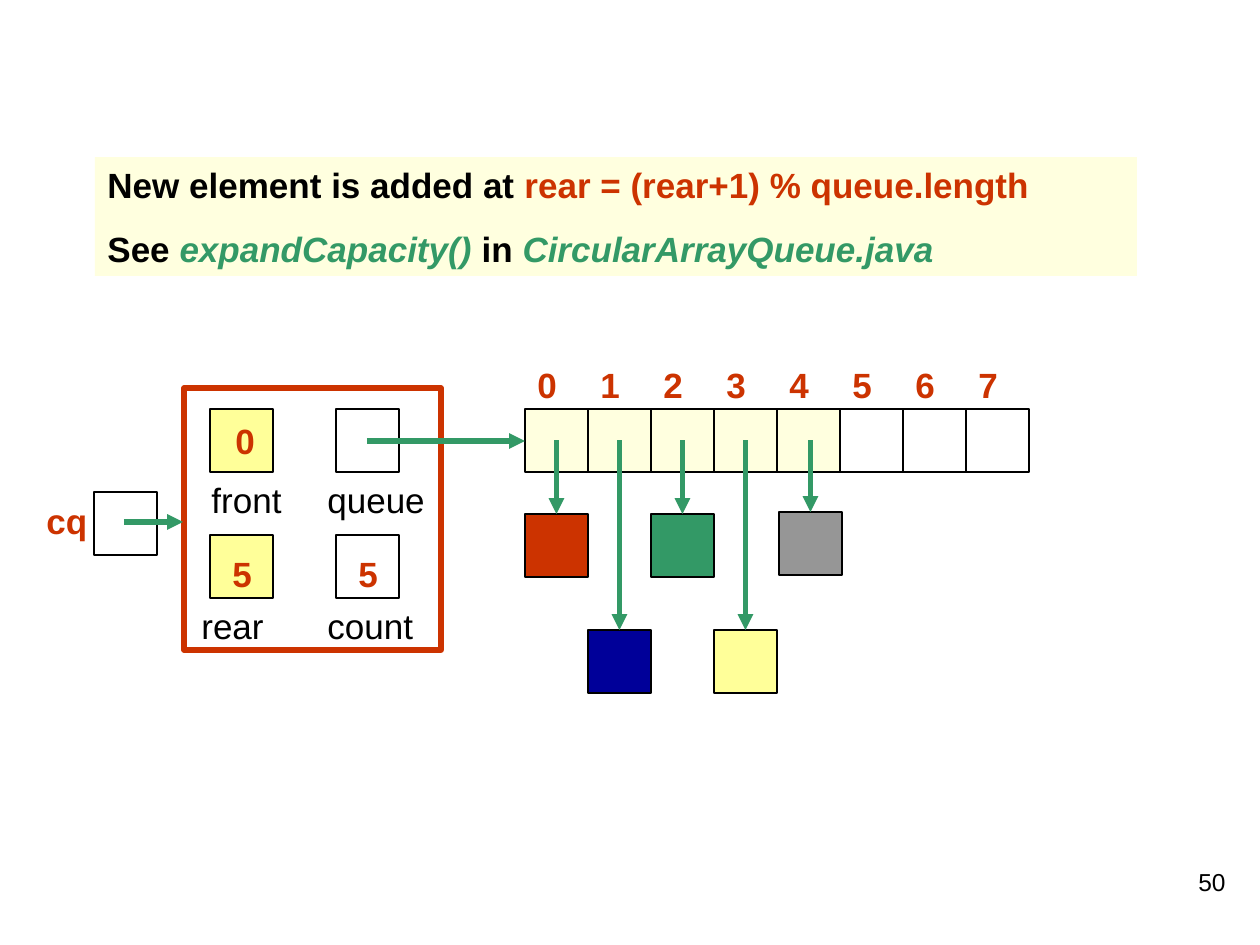
from lxml import etree
from pptx import Presentation, util as u
from pptx.dml.color import RGBColor
from pptx.enum import shapes, text
from pptx.oxml.ns import qn

PX = 914400 / 126  # EMU per px
BLACK = RGBColor(0x00, 0x00, 0x00)
RED = RGBColor(0xCC, 0x33, 0x00)
GREEN = RGBColor(0x33, 0x99, 0x66)
YELLOW = RGBColor(0xFF, 0xFF, 0x99)
CREAM = RGBColor(0xFF, 0xFF, 0xDF)
BLUE = RGBColor(0x00, 0x00, 0x99)
GREY = RGBColor(0x96, 0x96, 0x96)

CELL = 63
LABEL_H = 55
ARRAY_X, ARRAY_Y = 525, 409
ARRAY_SIZE, USED = 8, 5

NOTE = [
    [("New element is added at ", BLACK, False),
     ("rear = (rear+1) % queue.length", RED, False)],
    [("See ", BLACK, False), ("expandCapacity()", GREEN, True),
     (" in ", BLACK, False), ("CircularArrayQueue.java", GREEN, True)],
]
FRAME = (184, 388, 257, 262)
# cell left, top, fill
FIELDS = [(210, 409, YELLOW), (336, 409, None),
          (210, 535, YELLOW), (336, 535, None), (94, 492, None)]
# wording, left, top, width
FIELD_NAMES = [("front", 199, 472, 105), ("queue", 315, 472, 126),
               ("rear", 189, 598, 116), ("count", 315, 598, 126)]
FIELD_VALUES = [("0", 223, 413, 73), ("5", 220, 546, 49),
                ("5", 346, 546, 49), ("cq", 34, 493, 118)]
# left, top, fill of the element each used slot refers to
ELEMENTS = [(525, 514, RED), (588, 630, BLUE), (651, 514, GREEN),
            (714, 630, YELLOW), (779, 512, GREY)]
REFERENCES = [((367, 441), (525, 441)), ((124, 522), (183, 522))]


def px(*lengths):
    return [u.Emu(round(length * PX)) for length in lengths]


def add_box(slide, left, top, width, height, fill, line=BLACK, weight=0.75):
    box = slide.shapes.add_shape(shapes.MSO_SHAPE.RECTANGLE,
                                 *px(left, top, width, height))
    box.shadow.inherit = False
    if fill is None:
        box.fill.background()
    else:
        box.fill.solid()
        box.fill.fore_color.rgb = fill
    if line is None:
        box.line.fill.background()
    else:
        box.line.color.rgb = line
        box.line.width = u.Pt(weight)
    return box


def add_cell(slide, left, top, fill):
    add_box(slide, left, top, CELL, CELL, fill)


def add_run(paragraph, wording, color, **formats):
    run = paragraph.add_run()
    run.text = wording
    run.font.color.rgb = color
    for name, value in {"name": "Arial", "size": u.Pt(20), **formats}.items():
        setattr(run.font, name, value)


def add_label(slide, wording, left, top, width, color, height=LABEL_H,
              align=text.PP_ALIGN.LEFT, **formats):
    label = slide.shapes.add_textbox(*px(left, top, width, height))
    label.text_frame.word_wrap = True
    paragraph = label.text_frame.paragraphs[0]
    paragraph.alignment = align
    add_run(paragraph, wording, color, **formats)


def add_arrow(slide, start, end):
    arrow = slide.shapes.add_connector(shapes.MSO_CONNECTOR.STRAIGHT,
                                       *px(*start, *end))
    arrow.line.color.rgb = GREEN
    arrow.line.width = u.Pt(3)
    etree.SubElement(arrow.line._get_or_add_ln(), qn("a:tailEnd"),
                     type="triangle")
    etree.SubElement(arrow._element.spPr, qn("a:effectLst"))


def add_note(slide):
    frame = add_box(slide, 95, 157, 1042, 119, CREAM, line=None).text_frame
    frame.word_wrap = True
    frame.vertical_anchor = text.MSO_ANCHOR.TOP
    for index, parts in enumerate(NOTE):
        paragraph = frame.add_paragraph() if index else frame.paragraphs[0]
        paragraph.alignment = text.PP_ALIGN.LEFT
        paragraph.space_before = u.Pt(12.5)
        for wording, color, italic in parts:
            add_run(paragraph, wording, color, bold=True, italic=italic)


def main():
    deck = Presentation()
    deck.slide_width, deck.slide_height = u.Inches(10), u.Inches(7.5)
    slide = deck.slides.add_slide(deck.slide_layouts[6])

    add_note(slide)
    add_box(slide, *FRAME, None, RED, 3)
    for field in FIELDS:
        add_cell(slide, *field)
    for name in FIELD_NAMES:
        add_label(slide, *name, BLACK)
    for value in FIELD_VALUES:
        add_label(slide, *value, RED, bold=True)

    for index in range(ARRAY_SIZE):
        left = ARRAY_X + index * CELL
        add_label(slide, str(index), left, 357, 49, RED, bold=True)
        add_cell(slide, left, ARRAY_Y, CREAM if index < USED else None)
    for element in ELEMENTS:
        add_cell(slide, *element)

    for start, end in REFERENCES:
        add_arrow(slide, start, end)
    for left, top, _ in ELEMENTS:
        middle = left + CELL / 2
        add_arrow(slide, (middle, ARRAY_Y + CELL / 2), (middle, top))

    add_label(slide, "50", 976, 861, 262, BLACK, height=63,
              align=text.PP_ALIGN.RIGHT, size=u.Pt(14))
    deck.save("out.pptx")


if __name__ == "__main__":
    main()
